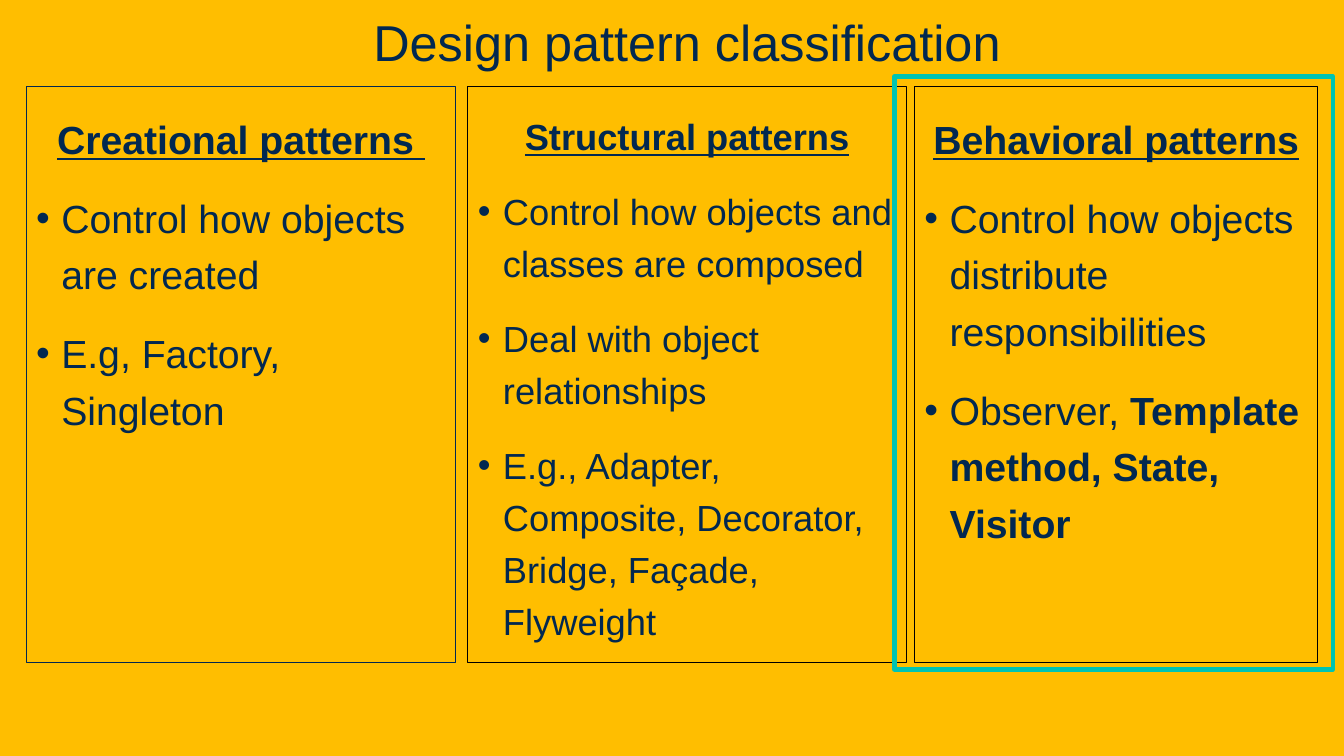
from dataclasses import dataclass

from lxml.etree import SubElement
from pptx import Presentation
from pptx.dml.color import RGBColor
from pptx.enum.shapes import MSO_SHAPE
from pptx.enum.text import MSO_ANCHOR, PP_ALIGN
from pptx.oxml.ns import qn
from pptx.util import Inches, Pt


@dataclass(frozen=True)
class Theme:
    font: str = "Arial"
    background: RGBColor = RGBColor(0xFF, 0xBE, 0x00)
    ink: RGBColor = RGBColor(0x02, 0x28, 0x50)
    black: RGBColor = RGBColor(0x00, 0x00, 0x00)
    accent: RGBColor = RGBColor(0x00, 0xC4, 0xB2)
    title_size: float = 36
    body_size: float = 28
    compact_size: float = 25.9
    thin: float = 0.75
    thick: float = 3.25


class SlideBuilder:
    def __init__(self, slide, theme):
        self.slide = slide
        self.theme = theme
        fill = slide.background.fill
        fill.solid()
        fill.fore_color.rgb = theme.background

    def run(self, p, text, size, **formats):
        r = p.add_run()
        r.text = text
        for name, value in {"name": self.theme.font, "size": Pt(size), **formats}.items():
            setattr(r.font, name, value)
        r.font.color.rgb = self.theme.ink

    def indent(self, p, left, first):
        pPr = p._p.get_or_add_pPr()
        pPr.set("marL", str(Inches(left)))
        pPr.set("indent", str(Inches(first)))
        return pPr

    def title(self, text, left, top, width, height):
        box = self.slide.shapes.add_textbox(*map(Inches, (left, top, width, height)))
        tf = box.text_frame
        tf.word_wrap = True
        tf.vertical_anchor = MSO_ANCHOR.BOTTOM
        p = tf.paragraphs[0]
        p.alignment = PP_ALIGN.CENTER
        self.indent(p, 0.3, 0)
        self.run(p, text, self.theme.title_size)

    def outline(self, left, top, width, height, color, weight):
        sp = self.slide.shapes.add_shape(
            MSO_SHAPE.RECTANGLE, *map(Inches, (left, top, width, height)))
        sp.shadow.inherit = False
        sp.fill.background()
        sp.line.color.rgb = color
        sp.line.width = Pt(weight)
        SubElement(sp.line._get_or_add_ln(), qn("a:round"))
        return sp

    def column(self, box, color, size, heading, bullets):
        tf = self.outline(*box, color, self.theme.thin).text_frame
        tf.word_wrap = True
        tf.vertical_anchor = MSO_ANCHOR.TOP
        tf.margin_top = Inches(0.19)

        # Heading
        p = tf.paragraphs[0]
        p.alignment = PP_ALIGN.CENTER
        p.line_spacing = 1.2
        p.space_after = Pt(6)
        self.run(p, heading, size, bold=True, underline=True)

        # Bullets, each a list of (text, bold) pieces
        for pieces in bullets:
            p = tf.add_paragraph()
            pPr = self.indent(p, 0.25, -0.25)
            SubElement(pPr, qn("a:buFont"), typeface=self.theme.font)
            SubElement(pPr, qn("a:buChar"), char="•")
            formats = {"alignment": PP_ALIGN.LEFT, "line_spacing": 1.2,
                       "space_before": Pt(10), "space_after": Pt(6)}
            for name, value in formats.items():
                setattr(p, name, value)
            for text, bold in pieces:
                self.run(p, text, size, bold=bold)


def main():
    prs = Presentation()
    prs.slide_width = Inches(13.33)
    prs.slide_height = Inches(7.5)
    theme = Theme()
    s = SlideBuilder(prs.slides.add_slide(prs.slide_layouts[6]), theme)

    # Title
    s.title("Design pattern classification", 0, 0, 13.33, 0.76)

    # Three pattern families
    top, height = 0.86, 5.71
    columns = [
        (0.26, 4.26, theme.ink, theme.body_size, "Creational patterns ", [
            [("Control how objects are created", False)],
            [("E.g, Factory, Singleton", False)],
        ]),
        (4.64, 4.35, theme.black, theme.compact_size, "Structural patterns", [
            [("Control how objects and classes are composed", False)],
            [("Deal with object relationships", False)],
            [("E.g., Adapter, Composite, Decorator, Bridge, Façade, Flyweight", False)],
        ]),
        (9.07, 4, theme.black, theme.body_size, "Behavioral patterns", [
            [("Control how objects distribute responsibilities", False)],
            [("Observer, ", False), ("Template method, State, Visitor", True)],
        ]),
    ]
    for left, width, color, size, heading, bullets in columns:
        s.column((left, top, width, height), color, size, heading, bullets)

    # Highlight around the behavioral family
    s.outline(8.87, 0.76, 4.35, 5.88, theme.accent, theme.thick)

    prs.save("out.pptx")


if __name__ == "__main__":
    main()
